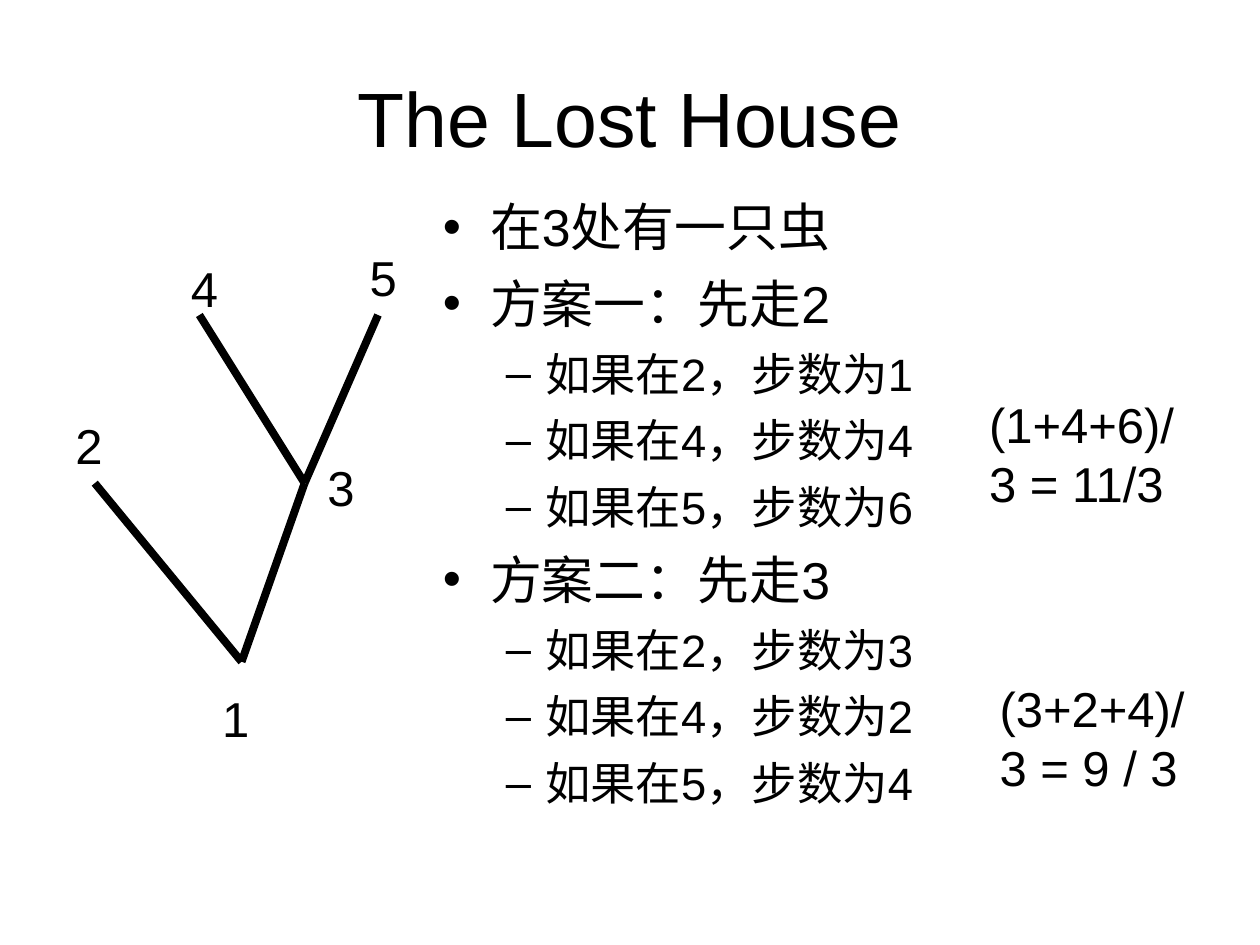
"""Build the "The Lost House" slide: a tree with numbered nodes and two search plans."""
import pptx
import pptx.dml.color
import pptx.enum.shapes
import pptx.enum.text
import pptx.oxml
import pptx.oxml.ns
import pptx.util

Cm = pptx.util.Cm
Pt = pptx.util.Pt
BLACK = pptx.dml.color.RGBColor(0, 0, 0)
WHITE = pptx.dml.color.RGBColor(255, 255, 255)
ALIGN = pptx.enum.text.PP_ALIGN
ANCHOR = pptx.enum.text.MSO_ANCHOR
NS = pptx.oxml.ns.nsdecls("a")

prs = pptx.Presentation()
prs.slide_width, prs.slide_height = Cm(25.4), Cm(19.05)
s = prs.slides.add_slide(prs.slide_layouts[6])
s.background.fill.solid()
s.background.fill.fore_color.rgb = WHITE


def add_box(left, top, width, height, anchor=ANCHOR.TOP):
    sp = s.shapes.add_textbox(Cm(left), Cm(top), Cm(width), Cm(height))
    sp.text_frame.word_wrap = True
    sp.text_frame.vertical_anchor = anchor
    return sp.text_frame


def write(p, text, size, **formats):
    for name, value in formats.items():
        setattr(p, name, value)
    r = p.add_run()
    r.text = text
    for name, value in {"size": Pt(size), "name": "Arial"}.items():
        setattr(r.font, name, value)
    r.font.color.rgb = BLACK


tf = add_box(1.27, 0.76, 22.86, 3.18, ANCHOR.MIDDLE)
write(tf.paragraphs[0], "The Lost House", 44, alignment=ALIGN.CENTER)

levels = [
    {"size": 29.6, "before": 8, "margin": 0.95, "indent": -0.95, "bullet": "•"},
    {"size": 25.9, "before": 7, "margin": 2.06, "indent": -0.79, "bullet": "–"},
]
plans = [
    (0, "在3处有一只虫"),
    (0, "方案一：先走2"),
    (1, "如果在2，步数为1"),
    (1, "如果在4，步数为4"),
    (1, "如果在5，步数为6"),
    (0, "方案二：先走3"),
    (1, "如果在2，步数为3"),
    (1, "如果在4，步数为2"),
    (1, "如果在5，步数为4"),
]
tf = add_box(8.68, 3.81, 10.8, 13.97)
for i, (level, text) in enumerate(plans):
    p = tf.add_paragraph() if i else tf.paragraphs[0]
    style = levels[level]
    write(p, text, style["size"], level=level, space_before=Pt(style["before"]))
    pPr = p._p.get_or_add_pPr()
    pPr.set("marL", str(Cm(style["margin"])))
    pPr.set("indent", str(Cm(style["indent"])))
    for xml in (
        f'<a:buClr {NS}><a:srgbClr val="{BLACK}"/></a:buClr>',
        f'<a:buFont {NS} typeface="Arial"/>',
        f'<a:buChar {NS} char="{style["bullet"]}"/>',
    ):
        pPr.append(pptx.oxml.parse_xml(xml))

nodes = {1: (4.87, 13.34), 2: (1.91, 9.74), 3: (6.14, 9.74), 4: (4.02, 6.35), 5: (7.62, 6.35)}
for start, end in [(1, 2), (1, 3), (3, 4), (3, 5)]:
    ends = [Cm(v) for v in nodes[start] + nodes[end]]
    sp = s.shapes.add_connector(pptx.enum.shapes.MSO_CONNECTOR.STRAIGHT, *ends)
    sp.line.color.rgb = BLACK
    sp.line.width = Pt(4.5)
    sp._element.spPr.append(pptx.oxml.parse_xml(f"<a:effectLst {NS}/>"))

notes = [
    ("5", 7.2, 4.87, 1.69, 1.45),
    ("4", 3.6, 5.08, 1.69, 1.45),
    ("3", 6.35, 9.1, 1.69, 1.45),
    ("2", 1.27, 8.26, 1.69, 1.45),
    ("1", 4.23, 13.76, 1.69, 1.45),
    ("(1+4+6)/3 = 11/3", 19.69, 7.83, 4.66, 2.64),
    ("(3+2+4)/3 = 9 / 3", 19.9, 13.55, 4.66, 2.64),
]
for text, *place in notes:
    tf = add_box(*place)
    tf.auto_size = pptx.enum.text.MSO_AUTO_SIZE.SHAPE_TO_FIT_TEXT
    write(tf.paragraphs[0], text, 28, space_before=Pt(17.5))

prs.save("out.pptx")
